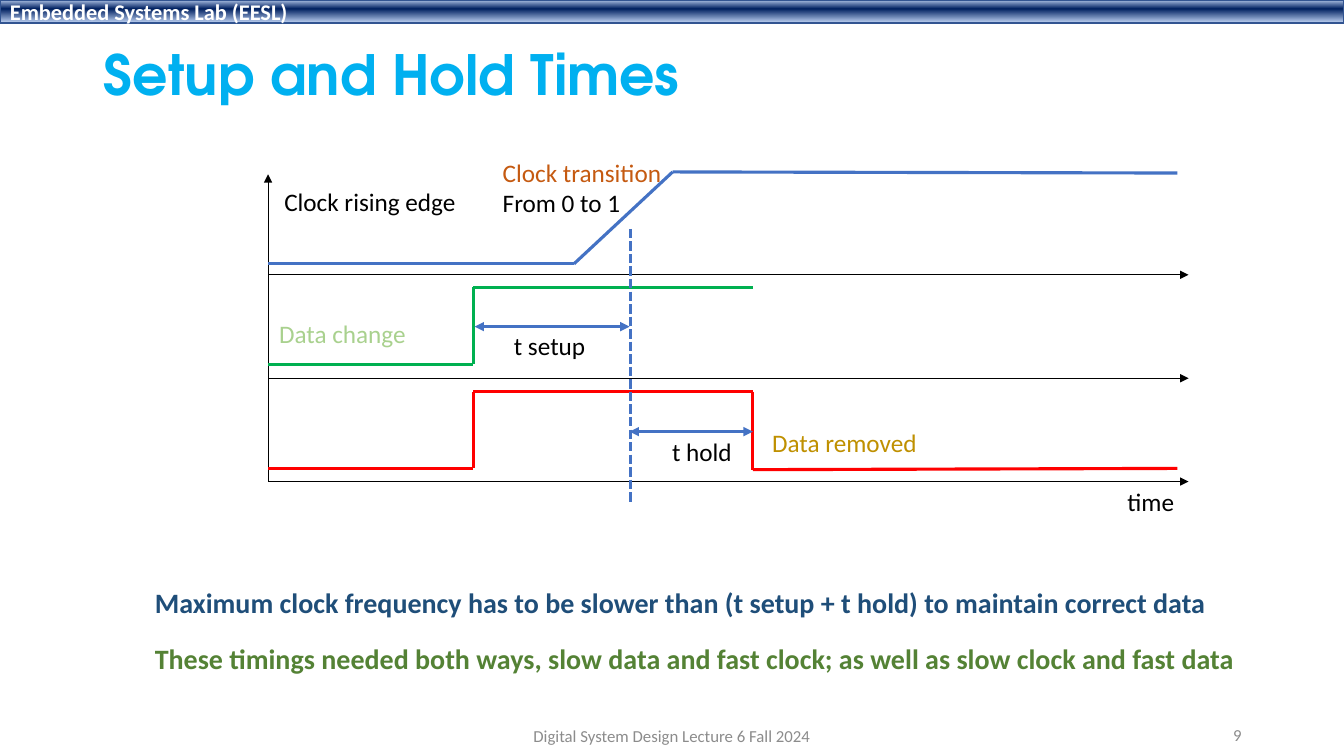
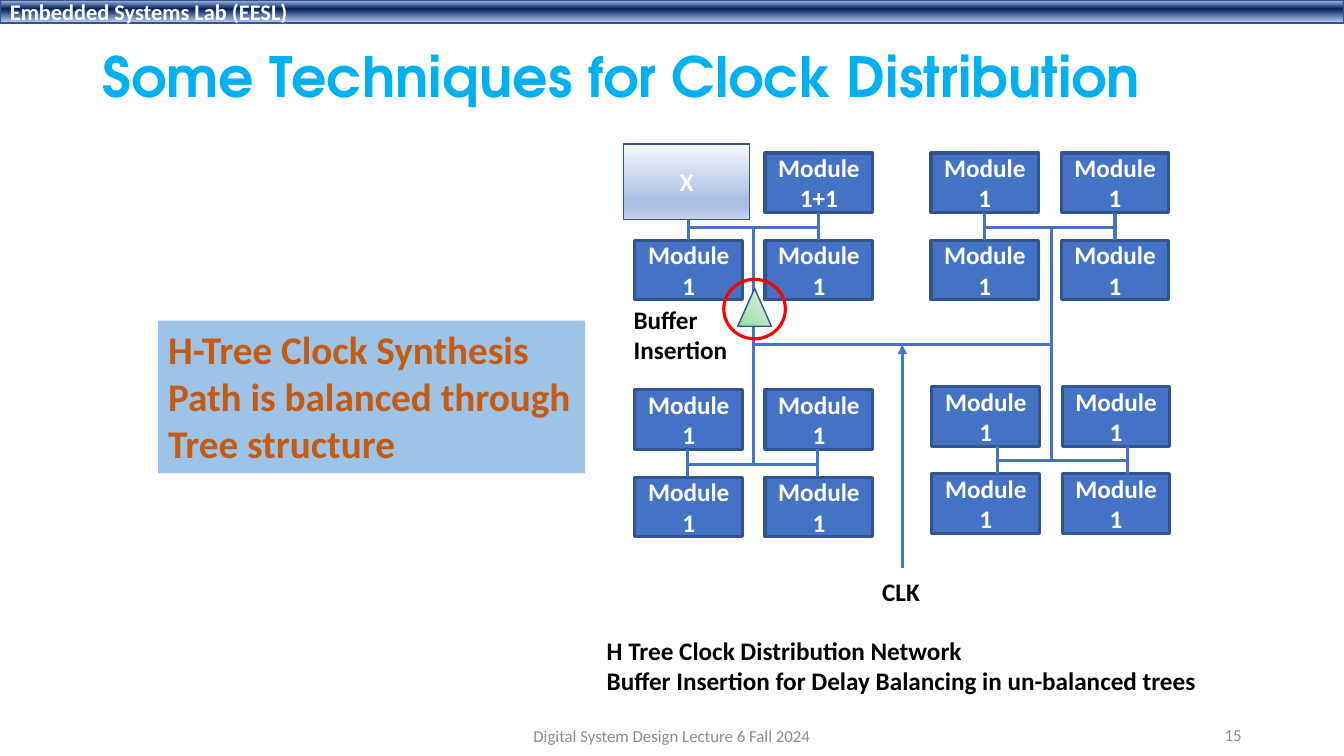
"""Build two lecture slides on setup and hold times and on clock distribution."""
from dataclasses import dataclass
from itertools import pairwise, product

from lxml.etree import SubElement
from pptx import Presentation
from pptx.dml.color import RGBColor
from pptx.enum.dml import MSO_LINE
from pptx.enum.shapes import MSO_CONNECTOR, MSO_SHAPE
from pptx.enum.text import MSO_ANCHOR, MSO_AUTO_SIZE, PP_ALIGN
from pptx.oxml.ns import qn
from pptx.util import Pt


@dataclass(frozen=True)
class Theme:
    title_font: str = "TeX Gyre Adventor"
    body_font: str = "Calibri"
    title_size: float = 39.6
    callout_size: float = 28
    note_size: float = 20
    label_size: float = 18
    band_size: float = 16
    footer_size: float = 12
    thin: float = 0.5
    outline: float = 1
    thick: float = 2.25
    title: str = "00B0F0"
    black: str = "000000"
    white: str = "FFFFFF"
    gray: str = "8C8C8C"
    blue: str = "4472C4"
    border: str = "325491"
    green: str = "00B050"
    red: str = "FF0000"
    orange: str = "C55A11"
    pale_green: str = "A9D18E"
    gold: str = "BF9000"
    navy: str = "1F4E79"
    olive: str = "548235"
    panel: str = "9DC3E6"
    band_stops: tuple = ((0, "ABC0E4"), (38, "002060"), (93, "ACC1E5"), (100, "ACC1E5"))
    faded_stops: tuple = ((0, "F6F8FC"), (74, "ABC0E4"), (83, "ABC0E4"), (100, "C7D5ED"))
    buffer_stops: tuple = ((0, "91DEA0"), (50, "BDE8C5"), (100, "DFF3E3"))


THEME = Theme()

BAND_TEXT = "Embedded Systems Lab (EESL)"
FOOTER_TEXT = "Digital System Design Lecture 6 Fall 2024"

AXIS_LEFT, AXIS_RIGHT, AXIS_TOP = 191.5, 849, 124.5
AXIS_LEVELS = (196.3, 270.2, 344)
DATA_EDGE, CLOCK_EDGE, HOLD_EDGE, TRACE_END = 338, 450.2, 537.8, 841
TRACES = [
    (THEME.blue, [(AXIS_LEFT, 188.5), (410, 188.5), (480.5, 122.8), (TRACE_END, 123.6)]),
    (THEME.green, [(AXIS_LEFT, 260.2), (DATA_EDGE, 260.2), (DATA_EDGE, 205.3),
                   (HOLD_EDGE, 205.3)]),
    (THEME.red, [(AXIS_LEFT, 334.6), (DATA_EDGE, 334.6), (DATA_EDGE, 279.8),
                 (HOLD_EDGE, 279.8), (HOLD_EDGE, 335.5), (TRACE_END, 334.6)]),
]
INTERVALS = [(DATA_EDGE + 1, CLOCK_EDGE - 0.5, 233.3), (CLOCK_EDGE - 0.5, HOLD_EDGE, 308.3)]
TIMING_LABELS = [
    ((196, 129.8, 138, 29), [("Clock rising edge", THEME.black)]),
    ((352, 109, 129, 51), [("Clock transition", THEME.orange), ("From 0 to 1", THEME.black)]),
    ((192.3, 224, 106, 29), [("Data change", THEME.pale_green)]),
    ((544.5, 302, 119, 29), [("Data removed", THEME.gold)]),
    ((360, 232.6, 66, 29), [("t setup", THEME.black)]),
    ((473, 308.3, 58, 29), [("t hold", THEME.black)]),
    ((798.2, 344, 48, 29), [("time", THEME.black)]),
]
TIMING_NOTES = [
    ((103.5, 415, 771, 32),
     [("Maximum clock frequency has to be slower than (t setup + t hold) to maintain correct data",
       THEME.navy)]),
    ((103.5, 454.5, 792, 32),
     [("These timings needed both ways, slow data and fast clock; "
       "as well as slow clock and fast data", THEME.olive)]),
]

MODULE_WIDTH, MODULE_HEIGHT = 77, 42.5
COLUMN_STEP, ROW_STEP, BUS_DROP = 93, 62.3, 53
FOUR_MODULES = ("Module 1",) * 4
QUADRANTS = [
    {"left": 453.5, "top": 109.3, "bus": 491.8,
     "labels": (None, "Module 1", "Module 1+1", "Module 1")},
    {"left": 665, "top": 109.3, "bus": 703.5, "labels": FOUR_MODULES},
    {"left": 453.5, "top": 278.5, "bus": 491, "labels": FOUR_MODULES},
    {"left": 665.7, "top": 276.2, "bus": 712.5, "labels": FOUR_MODULES},
]
LEFT_TRUNK, RIGHT_TRUNK, CLOCK_STEM, CROSSBAR = 538, 750.8, 644.5, 246.3
TRUNK_LINES = [
    ((LEFT_TRUNK, CROSSBAR), (RIGHT_TRUNK, CROSSBAR)),
    ((LEFT_TRUNK, 162.5), (LEFT_TRUNK, 332)),
    ((RIGHT_TRUNK, 162.5), (RIGHT_TRUNK, 329.5)),
]
TREE_LABELS = [
    ((623, 408.2, 44, 29), ["CLK"]),
    ((426.3, 450, 287, 29), ["H Tree Clock Distribution Network"]),
    ((426.3, 471.7, 467, 29), ["Buffer Insertion for Delay Balancing in un-balanced trees"]),
    ((445.5, 214, 87, 51), ["Buffer", "Insertion"]),
]
CALLOUT_LINES = ["H-Tree Clock Synthesis", "Path is balanced through", "Tree structure"]


def color(value):
    """Turn a hex string into a colour."""
    return RGBColor.from_string(value)


def write(frame, lines, size, bold=False, align=PP_ALIGN.LEFT, font=THEME.body_font):
    """Fill a text frame with one coloured run for each paragraph."""
    for index, (text, value) in enumerate(lines):
        paragraph = frame.add_paragraph() if index else frame.paragraphs[0]
        paragraph.alignment = align
        run = paragraph.add_run()
        run.text = text
        run.font.name = font
        run.font.size = Pt(size)
        run.font.bold = bold
        run.font.color.rgb = color(value)


def add_label(slide, box, lines, size=THEME.label_size, bold=False):
    """Add an unwrapped text box that fits its text."""
    shape = slide.shapes.add_textbox(*map(Pt, box))
    shape.text_frame.word_wrap = False
    shape.text_frame.auto_size = MSO_AUTO_SIZE.SHAPE_TO_FIT_TEXT
    write(shape.text_frame, lines, size, bold)
    return shape


def add_footer(slide, box, text, align):
    """Add one grey footer text."""
    frame = slide.shapes.add_textbox(*map(Pt, box)).text_frame
    frame.word_wrap = True
    frame.vertical_anchor = MSO_ANCHOR.MIDDLE
    write(frame, [(text, THEME.gray)], THEME.footer_size, align=align)


def add_line(slide, start, end, value=THEME.blue, width=THEME.thick, arrows=(), dash=None):
    """Draw a straight line, with arrowheads at the named ends."""
    connector = slide.shapes.add_connector(MSO_CONNECTOR.STRAIGHT, *map(Pt, (*start, *end)))
    connector.line.color.rgb = color(value)
    connector.line.width = Pt(width)
    if dash:
        connector.line.dash_style = dash
    properties = connector.element.spPr
    for arrow in arrows:
        SubElement(properties.find(qn("a:ln")), qn(f"a:{arrow}"), {"type": "triangle"})
    SubElement(properties, qn("a:effectLst"))


def add_block(slide, kind, box, border=THEME.border, width=THEME.outline, fill=None):
    """Add an outlined preset shape without a shadow."""
    shape = slide.shapes.add_shape(kind, *map(Pt, box))
    shape.shadow.inherit = False
    shape.line.color.rgb = color(border)
    shape.line.width = Pt(width)
    if fill:
        shape.fill.solid()
        shape.fill.fore_color.rgb = color(fill)
    else:
        shape.fill.background()
    return shape


def write_block(shape, text, size=THEME.label_size, align=PP_ALIGN.CENTER):
    """Write bold white text in the vertical middle of a shape."""
    shape.text_frame.vertical_anchor = MSO_ANCHOR.MIDDLE
    write(shape.text_frame, [(text, THEME.white)], size, True, align)


def set_gradient(shape, stops, radial=False):
    """Fill a shape with a downward gradient or one from its lower left corner."""
    shape.fill.gradient()
    gradient = shape.element.spPr.find(qn("a:gradFill"))
    for child in list(gradient):
        gradient.remove(child)
    stop_list = SubElement(gradient, qn("a:gsLst"))
    for position, value in stops:
        stop = SubElement(stop_list, qn("a:gs"), {"pos": str(position * 1000)})
        SubElement(stop, qn("a:srgbClr"), {"val": value})
    if radial:
        circle = SubElement(gradient, qn("a:path"), {"path": "circle"})
        SubElement(circle, qn("a:fillToRect"), {"t": "100000", "r": "100000"})
    else:
        SubElement(gradient, qn("a:lin"), {"ang": "5400000", "scaled": "0"})


def add_master_band(presentation, slide):
    """Draw the top band and move it to the slide master."""
    band = add_block(slide, MSO_SHAPE.RECTANGLE, (0, 0, 960, 16.6))
    set_gradient(band, THEME.band_stops)
    write_block(band, BAND_TEXT, THEME.band_size, PP_ALIGN.LEFT)
    presentation.slide_master.shapes.element.append(band.element)


def add_slide(presentation, title, title_box, number):
    """Add a slide with its title, footer and number."""
    slide = presentation.slides.add_slide(presentation.slide_layouts[5])
    shape = slide.shapes.title
    shape.left, shape.top, shape.width, shape.height = map(Pt, title_box)
    frame = shape.text_frame
    frame.word_wrap = True
    frame.auto_size = MSO_AUTO_SIZE.NONE
    frame.vertical_anchor = MSO_ANCHOR.MIDDLE
    write(frame, [(title, THEME.title)], THEME.title_size, True, font=THEME.title_font)
    frame.paragraphs[0].line_spacing = 0.9
    add_footer(slide, (678, 510.5, 216, 28.8), str(number), PP_ALIGN.RIGHT)
    add_footer(slide, (318, 511, 324, 28.8), FOOTER_TEXT, PP_ALIGN.CENTER)
    return slide


def draw_timing(slide):
    """Draw the axes, signal traces, intervals and notes."""
    origin = (AXIS_LEFT, AXIS_LEVELS[-1])
    axes = [(origin, (AXIS_LEFT, AXIS_TOP))]
    axes += [((AXIS_LEFT, level), (AXIS_RIGHT, level)) for level in AXIS_LEVELS]
    for start, end in axes:
        add_line(slide, start, end, THEME.black, THEME.thin, ["tailEnd"])
    for value, points in TRACES:
        for start, end in pairwise(points):
            add_line(slide, start, end, value)
    add_line(slide, (CLOCK_EDGE, 163.5), (CLOCK_EDGE, 359.3), dash=MSO_LINE.SQUARE_DOT)
    for left, right, level in INTERVALS:
        add_line(slide, (left, level), (right, level), arrows=["headEnd", "tailEnd"])
    for box, lines in TIMING_LABELS:
        add_label(slide, box, lines)
    for box, lines in TIMING_NOTES:
        add_label(slide, box, lines, THEME.note_size, True)


def draw_quadrant(slide, left, top, bus, labels):
    """Draw four modules joined by an H-shaped bus."""
    for (column, row), label in zip(product(range(2), repeat=2), labels):
        if label:
            box = (left + column * COLUMN_STEP, top + row * ROW_STEP, MODULE_WIDTH, MODULE_HEIGHT)
            module = add_block(slide, MSO_SHAPE.RECTANGLE, box, width=THEME.thick, fill=THEME.blue)
            write_block(module, label)
    level = top + BUS_DROP
    add_line(slide, (bus, level), (bus + COLUMN_STEP, level))
    for stub in (bus, bus + COLUMN_STEP):
        add_line(slide, (stub, top + MODULE_HEIGHT), (stub, top + ROW_STEP))


def draw_clock_tree(slide):
    """Draw the H-tree with its buffer, clock input and captions."""
    for quadrant in QUADRANTS:
        draw_quadrant(slide, **quadrant)
    for start, end in TRUNK_LINES:
        add_line(slide, start, end)
    add_line(slide, (CLOCK_STEM, 405.5), (CLOCK_STEM, CROSSBAR), arrows=["tailEnd"])
    for box, lines in TREE_LABELS:
        add_label(slide, box, [(line, THEME.black) for line in lines], bold=True)
    buffer = add_block(slide, MSO_SHAPE.ISOSCELES_TRIANGLE, (527, 206, 24, 27))
    set_gradient(buffer, THEME.buffer_stops, radial=True)
    add_block(slide, MSO_SHAPE.OVAL, (517, 199.5, 44, 42.5), THEME.red, THEME.thick)
    faded = add_block(slide, MSO_SHAPE.RECTANGLE, (445.5, 102.8, 90, 54))
    set_gradient(faded, THEME.faded_stops)
    write_block(faded, "X")
    callout = add_label(slide, (113, 229, 305, 109),
                        [(line, THEME.orange) for line in CALLOUT_LINES],
                        THEME.callout_size, True)
    callout.fill.solid()
    callout.fill.fore_color.rgb = color(THEME.panel)


def main():
    """Create and save the presentation."""
    presentation = Presentation()
    presentation.slide_width, presentation.slide_height = Pt(960), Pt(540)
    timing = add_slide(presentation, "Setup and Hold Times", (67, 28.8, 828, 53.3), 9)
    add_master_band(presentation, timing)
    draw_timing(timing)
    tree = add_slide(presentation, "Some Techniques for Clock Distribution",
                     (66, 15.8, 828, 82), 15)
    draw_clock_tree(tree)
    presentation.save("out.pptx")


if __name__ == "__main__":
    main()
